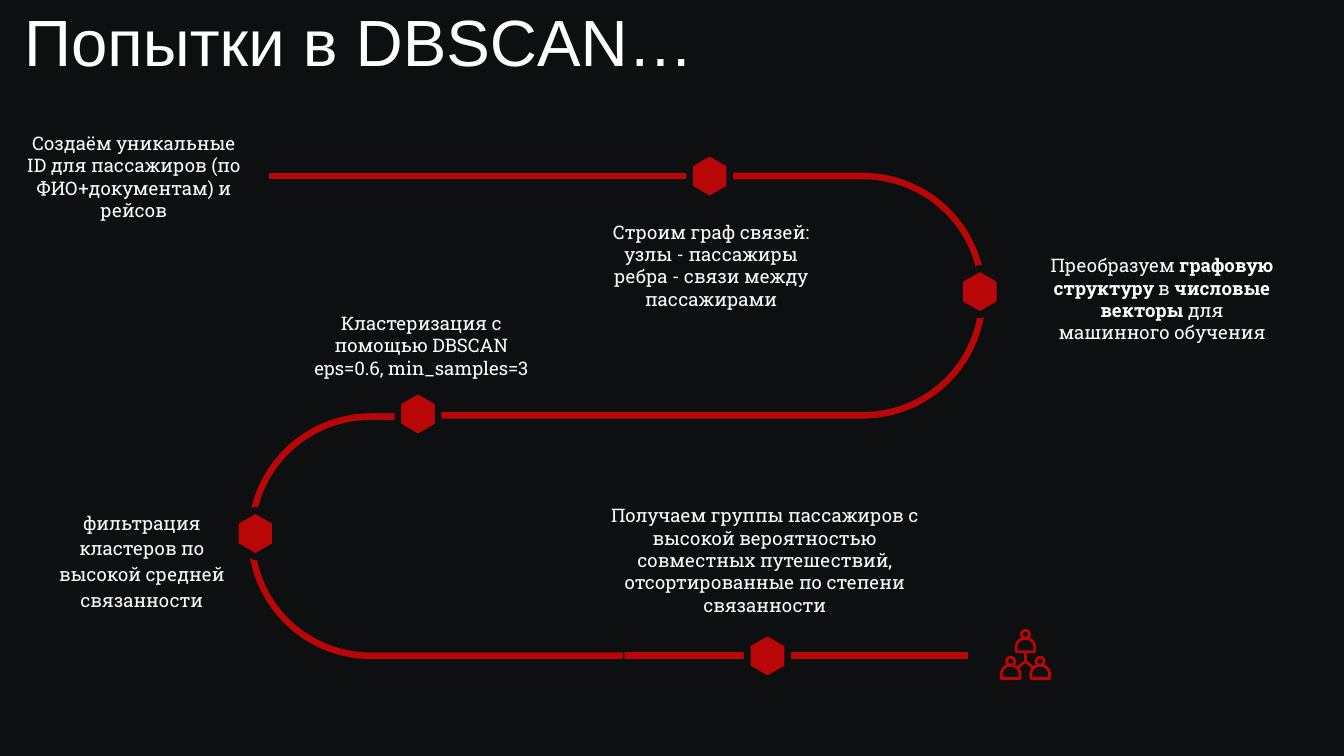
from math import cos, radians, sin

from lxml import etree
from pptx import Presentation
from pptx.dml.color import RGBColor
from pptx.enum.shapes import MSO_CONNECTOR, MSO_SHAPE
from pptx.enum.text import MSO_ANCHOR, MSO_AUTO_SIZE, PP_ALIGN
from pptx.oxml.ns import qn
from pptx.util import Inches, Pt

RECTANGLE, HEXAGON, OVAL = MSO_SHAPE.RECTANGLE, MSO_SHAPE.HEXAGON, MSO_SHAPE.OVAL
STRAIGHT = MSO_CONNECTOR.STRAIGHT
TOP = MSO_ANCHOR.TOP
LEFT, CENTER = PP_ALIGN.LEFT, PP_ALIGN.CENTER
NO_AUTOFIT = MSO_AUTO_SIZE.NONE

DARK = RGBColor(0x0D, 0x0F, 0x10)
RED = RGBColor(0xB9, 0x07, 0x07)
WHITE = RGBColor(0xFF, 0xFF, 0xFF)

TITLE_FONT = {"name": "Arial", "size": Pt(35), "bold": False}
STEP_FONT = {"name": "Roboto Slab", "size": Pt(10)}

# Road geometry, in inches
OUTER_RADIUS, ROAD_WIDTH = 0.92, 0.06
RIGHT_TURN, LEFT_TURN = (6.42, 2.2), (2.76, 3.99)
STRAIGHTS = [(4.21, 4.85, 1.35), (2, 1.28, 3.11), (5.86, 4.85, 1.35)]
# Turn centre, angle at the straight end, angle at the marker, end of straight
BENDS = [
    (LEFT_TURN, 90, 171, 4.64),
    (LEFT_TURN, -90, -169, 2.96),
    (RIGHT_TURN, 90, 9, 3.27),
    (RIGHT_TURN, -90, -12, 5.44),
]
MARKERS = [(5.28, 1.31), (7.29, 2.17), (5.71, 4.88), (1.9, 3.97), (3.11, 3.08)]

# Box, line spacing, paragraphs; ** encloses bold words
STEPS = [
    ((0.08, 0.88, 1.83, 0.96), 1,
     ["Создаём уникальные ID для пассажиров (по ФИО+документам) и рейсов"]),
    ((4.12, 1.54, 2.34, 1.12), 1,
     ["Строим граф связей:\nузлы - пассажиры", "ребра - связи между пассажирами"]),
    ((7.67, 1.79, 1.95, 1.04), 1,
     ["Преобразуем **графовую структуру** в **числовые векторы** для машинного обучения"]),
    ((2.22, 2.22, 1.83, 0.61), 1,
     ["Кластеризация с помощью DBSCAN", "eps=0.6, min_samples=3"]),
    ((0.27, 3.68, 1.57, 0.85), 1.15,
     ["фильтрация кластеров по высокой средней связанности"]),
    ((4.41, 3.65, 2.56, 0.96), 1,
     ["Получаем группы пассажиров с высокой вероятностью совместных путешествий, "
      "отсортированные по степени связанности"]),
]


def set_font(font, values):
    for key, value in values.items():
        setattr(font, key, value)
    font.color.rgb = WHITE


def set_frame(frame):
    values = {"word_wrap": True, "auto_size": NO_AUTOFIT, "vertical_anchor": TOP}
    for side in ("left", "top", "right", "bottom"):
        values["margin_" + side] = Inches(0.1)
    for key, value in values.items():
        setattr(frame, key, value)


def paint(shape, fill, line, width):
    shape.shadow.inherit = False
    if fill is None:
        shape.fill.background()
    else:
        shape.fill.solid()
        shape.fill.fore_color.rgb = fill
    shape.line.color.rgb = line
    shape.line.width = Pt(width)


def arc(centre, radius, start, end, steps=24):
    angles = [radians(start + (end - start) * i / steps) for i in range(steps + 1)]
    return [(centre[0] + radius * cos(a), centre[1] + radius * sin(a)) for a in angles]


def add_outline(shapes, points):
    corners = [(Inches(x), Inches(y)) for x, y in points]
    builder = shapes.build_freeform(*corners[0])
    builder.add_line_segments(corners[1:], close=True)
    return builder.convert_to_shape()


def add_bend(shapes, centre, start, end, straight_x):
    edges = []
    for radius in (OUTER_RADIUS, OUTER_RADIUS - ROAD_WIDTH):
        curve = arc(centre, radius, start, end)
        edges.append([(straight_x, curve[0][1])] + curve)
    paint(add_outline(shapes, edges[0] + edges[1][::-1]), RED, DARK, 0.75)


def add_road(shapes):
    for x, y, length in STRAIGHTS:
        bar = shapes.add_shape(RECTANGLE, Inches(x), Inches(y),
                               Inches(length), Inches(ROAD_WIDTH))
        paint(bar, RED, DARK, 0.75)
    for bend in BENDS:
        add_bend(shapes, *bend)
    for x, y in MARKERS:
        marker = shapes.add_shape(HEXAGON, Inches(x - 0.175), Inches(y - 0.15),
                                  Inches(0.35), Inches(0.3))
        marker.adjustments[0] = 0.29
        marker.rotation = 90
        paint(marker, RED, DARK, 3.54)


def add_person(shapes, x, y):
    """Draw a head centred on (x, y) with shoulders below."""
    head = shapes.add_shape(OVAL, Inches(x - 0.03), Inches(y - 0.03),
                            Inches(0.06), Inches(0.06))
    dome = arc((x, y + 0.1), 0.07, 180, 360)
    body = add_outline(shapes, dome + [(x + 0.07, y + 0.13), (x - 0.07, y + 0.13)])
    for part in (head, body):
        paint(part, None, RED, 1.5)


def add_people_icon(shapes):
    for x, y in [(7.63, 4.72), (7.52, 4.92), (7.74, 4.92)]:
        add_person(shapes, x, y)
    # Links between the three people
    hub = (7.63, 4.92)
    for x, y in [(7.63, 4.86), (7.57, 4.97), (7.69, 4.97)]:
        link = shapes.add_connector(STRAIGHT, Inches(hub[0]), Inches(hub[1]),
                                    Inches(x), Inches(y))
        link.line.color.rgb = RED
        link.line.width = Pt(1.5)
        etree.SubElement(link._element.spPr, qn("a:effectLst"))


def add_title(slide, text):
    title = slide.shapes.title
    place = {"left": 0.08, "top": -0.09, "width": 8.43, "height": 0.63}
    for key, value in place.items():
        setattr(title, key, Inches(value))
    frame = title.text_frame
    set_frame(frame)
    frame.text = text
    frame.paragraphs[0].alignment = LEFT
    set_font(frame.paragraphs[0].runs[0].font, TITLE_FONT)


def add_step(shapes, box, spacing, paragraphs):
    frame = shapes.add_textbox(*[Inches(value) for value in box]).text_frame
    set_frame(frame)
    for number, text in enumerate(paragraphs):
        paragraph = frame.add_paragraph() if number else frame.paragraphs[0]
        paragraph.alignment = CENTER
        paragraph.line_spacing = spacing
        for row, line in enumerate(text.split("\n")):
            if row:
                paragraph.add_line_break()
            for index, words in enumerate(line.split("**")):
                run = paragraph.add_run()
                run.text = words
                set_font(run.font, {**STEP_FONT, "bold": index % 2 == 1})


def main():
    deck = Presentation()
    # Widescreen, 16:9
    deck.slide_width = Inches(10)
    deck.slide_height = deck.slide_width * 9 // 16
    slide = deck.slides.add_slide(deck.slide_layouts[5])
    slide.background.fill.solid()
    slide.background.fill.fore_color.rgb = DARK

    add_title(slide, "Попытки в DBSCAN…")
    add_road(slide.shapes.add_group_shape().shapes)
    for step in STEPS:
        add_step(slide.shapes, *step)
    add_people_icon(slide.shapes.add_group_shape().shapes)
    deck.save("out.pptx")


if __name__ == "__main__":
    main()
